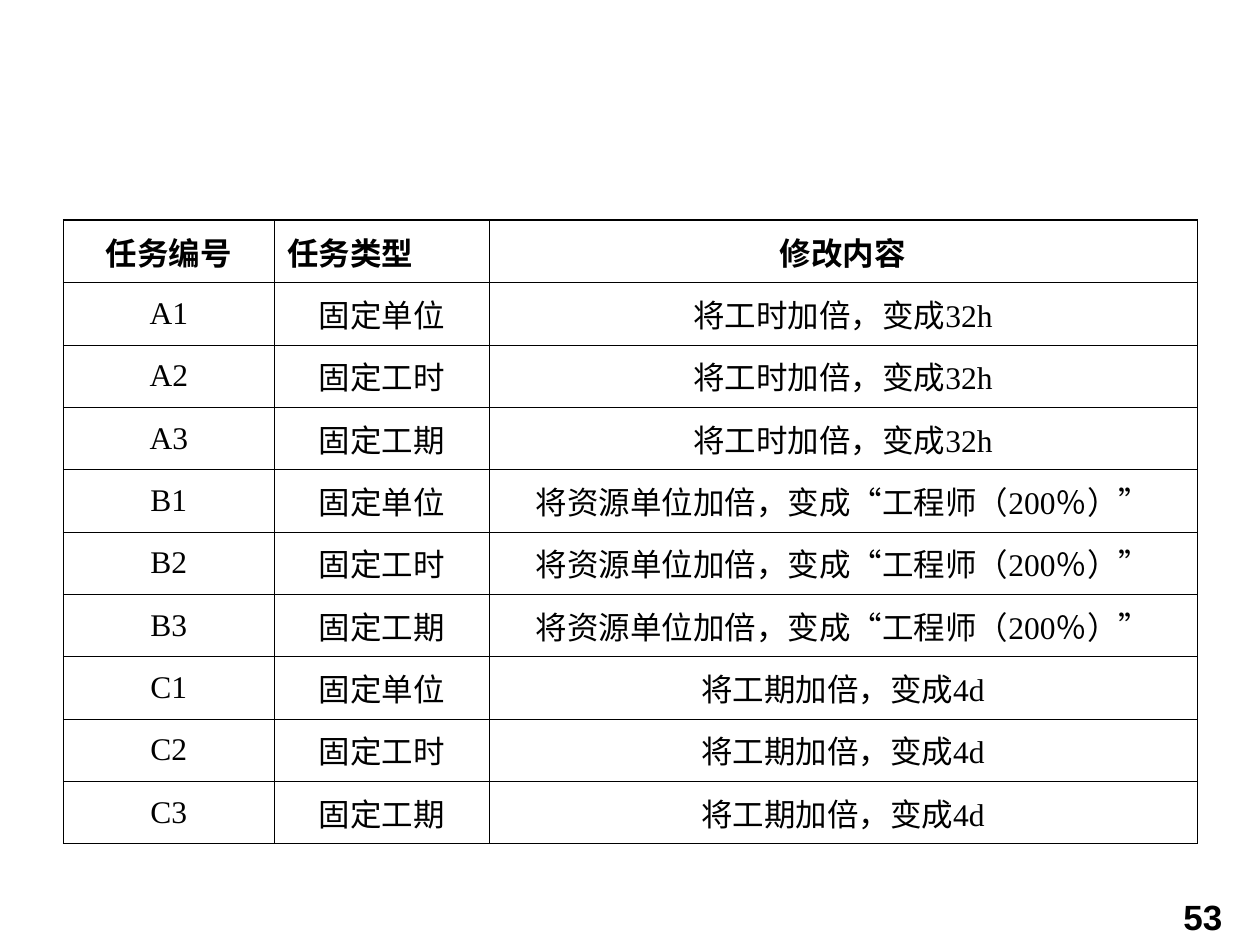
from dataclasses import dataclass
from itertools import product
from typing import NamedTuple

from lxml import etree
from pptx import Presentation, util as u
from pptx.dml.color import RGBColor
from pptx.enum import text
from pptx.oxml.ns import qn


@dataclass(frozen=True)
class Theme:
    ink: str = "000000"
    paper: str = "FFFFFF"
    table_font: str = "Times New Roman"
    number_font: str = "Arial"
    table_size: int = 18
    number_size: int = 20
    outer_side: float = 0.34
    thin: float = 0.45
    thick: float = 0.96
    hanging: float = 0.38


class Task(NamedTuple):
    code: str
    kind: str
    change: str


THEME = Theme()
WIDTH, HEIGHT = u.Inches(10), u.Inches(7.5)
COLUMN_SHARES = (0.168, 0.17, 0.562)
ROW_SHARE = 0.066
HEADER = Task("任务编号", "任务类型", "修改内容")
KINDS = ("固定单位", "固定工时", "固定工期")
CHANGES = {
    "A": "将工时加倍，变成32h",
    "B": "将资源单位加倍，变成“工程师（200％）”",
    "C": "将工期加倍，变成4d",
}
TASKS = [
    Task(f"{group}{number}", kind, change)
    for (group, change), (number, kind) in product(CHANGES.items(), enumerate(KINDS, 1))
]


def style_paragraph(paragraph, font_name: str, size: int, bold: bool, align) -> None:
    paragraph.alignment = align
    for run in paragraph.runs:
        run.font.name = font_name
        run.font.size = u.Pt(size)
        run.font.bold = bold
        run.font.color.rgb = RGBColor.from_string(THEME.ink)


def set_borders(cell, widths: dict[str, float]) -> None:
    """Draw solid cell edges; they must precede the fill in the cell properties."""
    properties = cell._tc.get_or_add_tcPr()
    for position, (edge, width) in enumerate(widths.items()):
        line = etree.Element(qn(f"a:ln{edge}"), w=str(u.Pt(width)))
        fill = etree.SubElement(line, qn("a:solidFill"))
        etree.SubElement(fill, qn("a:srgbClr"), val=THEME.ink)
        properties.insert(position, line)


def fill_cell(cell, wording: str, bold: bool, align) -> None:
    cell.text_frame.text = wording
    cell.vertical_anchor = text.MSO_ANCHOR.MIDDLE
    cell.fill.solid()
    cell.fill.fore_color.rgb = RGBColor.from_string(THEME.paper)
    paragraph = cell.text_frame.paragraphs[0]
    style_paragraph(paragraph, THEME.table_font, THEME.table_size, bold, align)
    properties = paragraph._p.get_or_add_pPr()
    properties.set("marL", str(u.Inches(THEME.hanging)))
    properties.set("indent", str(-u.Inches(THEME.hanging)))


def add_task_table(slide, tasks: list[Task]) -> None:
    rows = [HEADER, *tasks]
    last_row, last_column = len(rows) - 1, len(HEADER) - 1
    table = slide.shapes.add_table(
        len(rows), len(HEADER), int(WIDTH * 0.05), int(HEIGHT * 0.233),
        int(WIDTH * sum(COLUMN_SHARES)), int(HEIGHT * ROW_SHARE * len(rows)),
    ).table
    for column, share in zip(table.columns, COLUMN_SHARES):
        column.width = int(WIDTH * share)

    for r, task in enumerate(rows):
        for c, wording in enumerate(task):
            cell = table.cell(r, c)
            left_aligned = r == 0 and c == 1
            align = text.PP_ALIGN.LEFT if left_aligned else text.PP_ALIGN.CENTER
            fill_cell(cell, wording, r == 0, align)
            set_borders(cell, {
                "L": THEME.outer_side if c == 0 else THEME.thin,
                "R": THEME.outer_side if c == last_column else THEME.thin,
                "T": THEME.thick if r <= 1 else THEME.thin,
                "B": THEME.thick if r in (0, last_row) else THEME.thin,
            })


def add_slide_number(slide, number: str) -> None:
    frame = slide.shapes.add_textbox(
        int(WIDTH * 0.747), int(HEIGHT * 0.941), int(WIDTH * 0.233), int(HEIGHT * 0.07)
    ).text_frame
    frame.word_wrap = True
    frame.text = number
    style_paragraph(frame.paragraphs[0], THEME.number_font, THEME.number_size,
                    True, text.PP_ALIGN.RIGHT)


def main() -> None:
    deck = Presentation()
    deck.slide_width, deck.slide_height = WIDTH, HEIGHT
    slide = deck.slides.add_slide(deck.slide_layouts[6])
    add_task_table(slide, TASKS)
    add_slide_number(slide, "53")
    deck.save("out.pptx")


if __name__ == "__main__":
    main()
